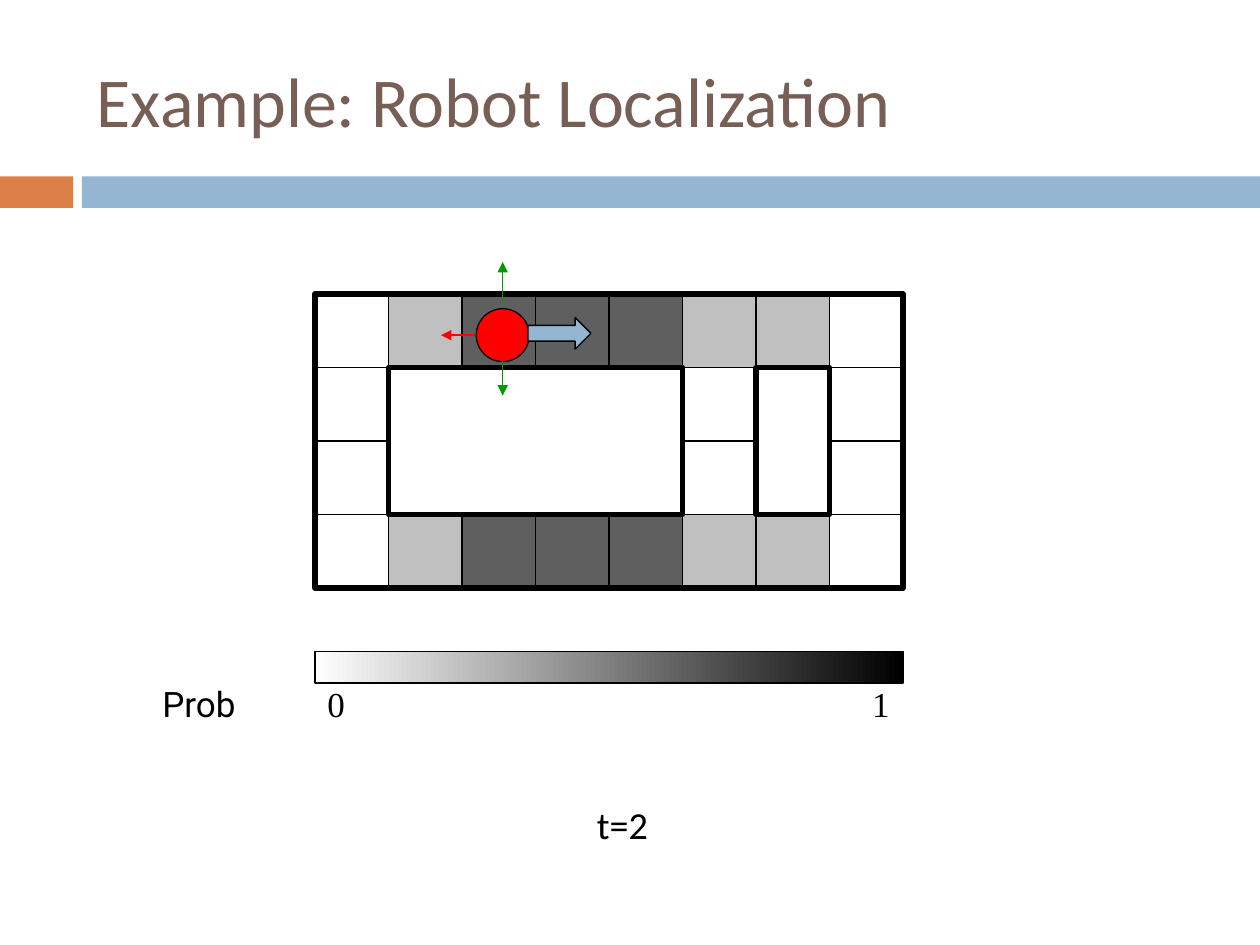
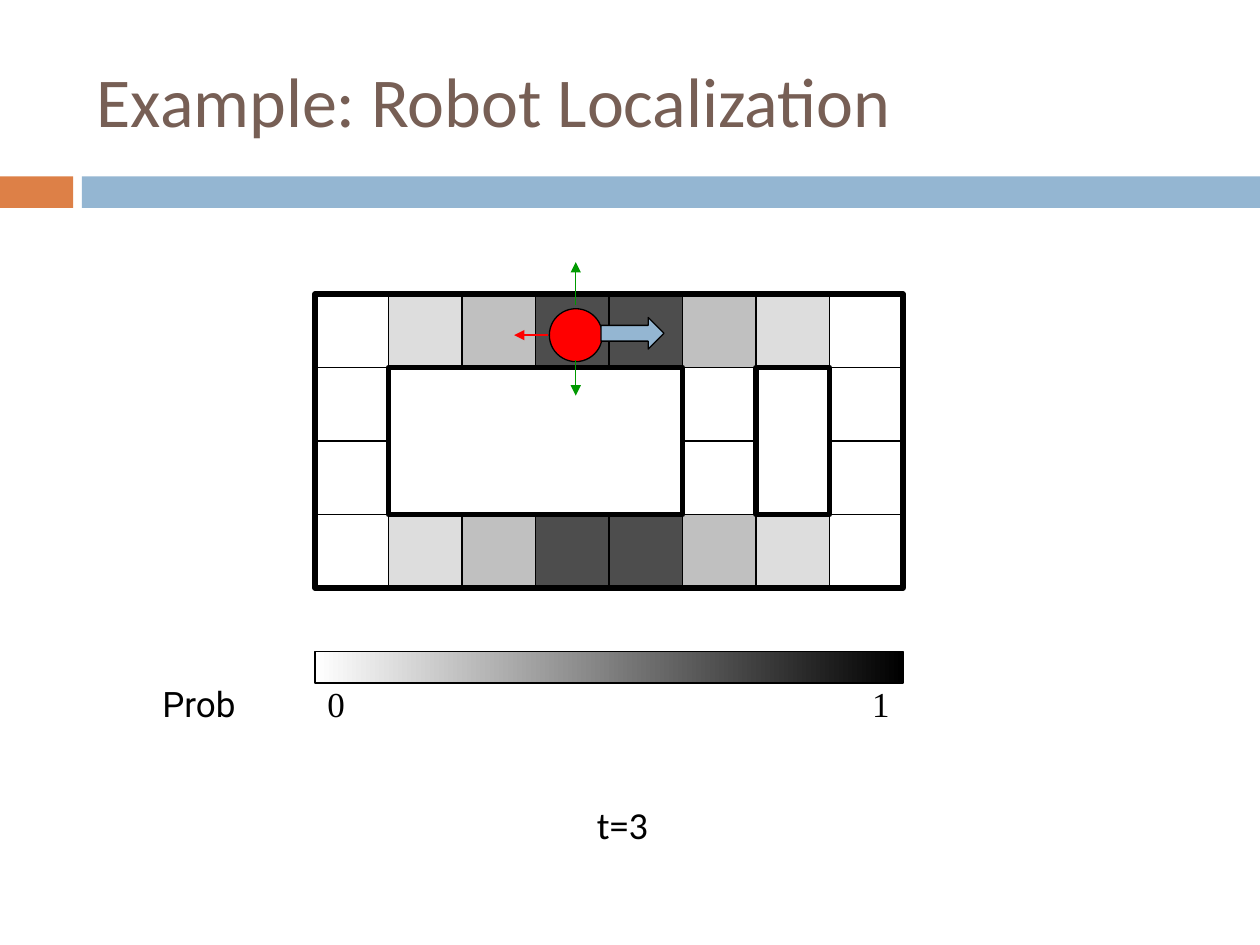
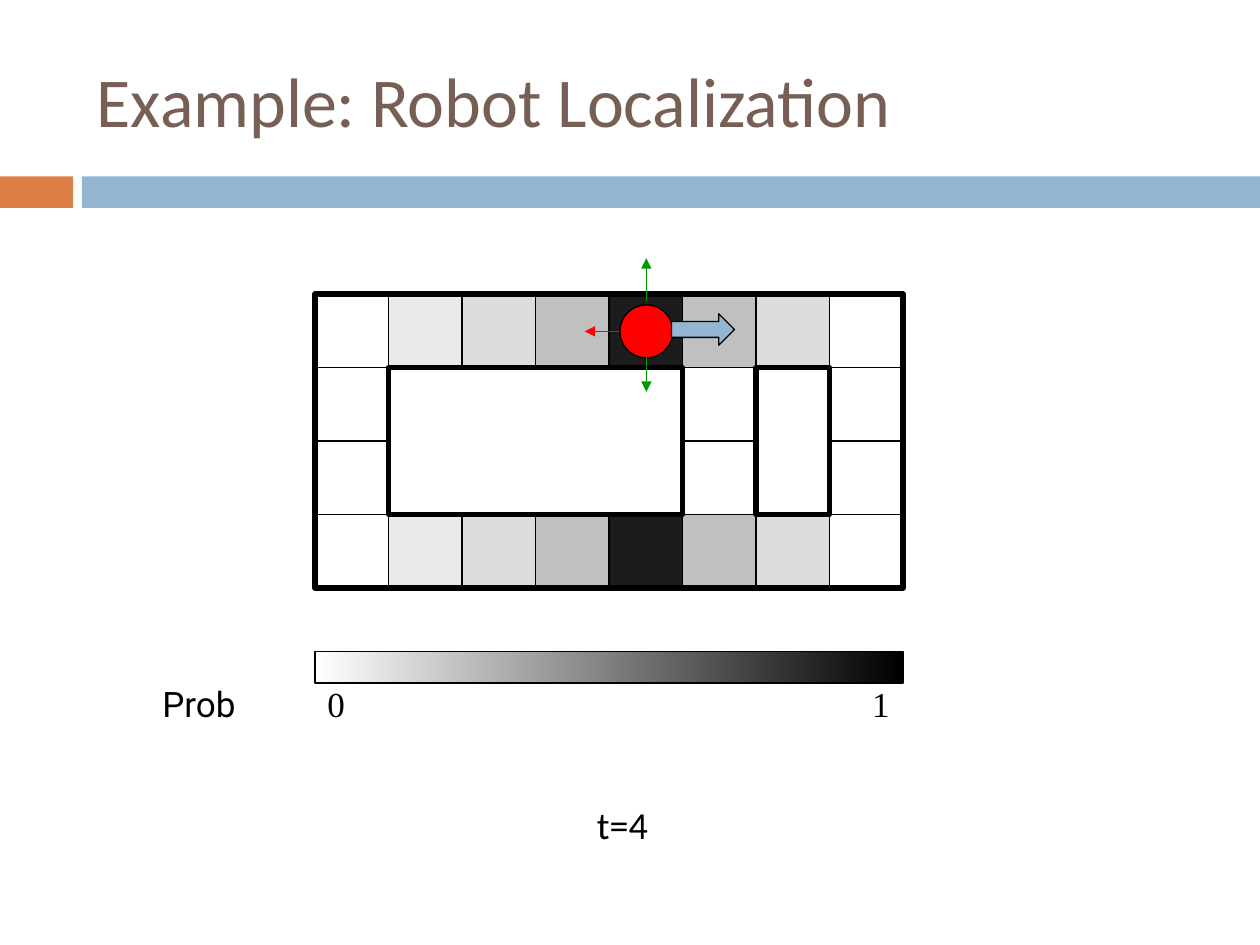
from dataclasses import dataclass
from typing import Optional

from lxml.etree import SubElement
from pptx import Presentation
from pptx.dml.color import RGBColor
from pptx.enum.shapes import MSO_CONNECTOR as Connector, MSO_SHAPE as Preset
from pptx.enum.text import MSO_ANCHOR as Anchor, PP_ALIGN as Align
from pptx.oxml.ns import qn
from pptx.shapes.autoshape import Shape
from pptx.slide import Slide
from pptx.util import Inches, Pt

BLACK = RGBColor(0x00, 0x00, 0x00)
WHITE = RGBColor(0xFF, 0xFF, 0xFF)
BROWN = RGBColor(0x77, 0x5F, 0x55)
ORANGE = RGBColor(0xDD, 0x80, 0x47)
BLUE = RGBColor(0x94, 0xB6, 0xD2)
RED = RGBColor(0xFF, 0x00, 0x00)
GREEN = RGBColor(0x00, 0x99, 0x00)
FAINT = RGBColor(0xEA, 0xEA, 0xEA)
PALE = RGBColor(0xDD, 0xDD, 0xDD)
SILVER = RGBColor(0xC0, 0xC0, 0xC0)
GRAY = RGBColor(0x5F, 0x5F, 0x5F)
DARK = RGBColor(0x4D, 0x4D, 0x4D)
CHARCOAL = RGBColor(0x1C, 0x1C, 0x1C)

THIN = 0.75
THICK = 3
CELL = 7 / 12
COLUMNS = 8
ROWS = 4
MAP_LEFT = 2.5
MAP_TOP = 4 * CELL
MAP_WIDTH = COLUMNS * CELL
CORRIDOR_COLUMNS = (0, 5, 7)
ROBOT_RADIUS = 0.21


@dataclass(frozen=True)
class Box:
    left: float
    top: float
    width: float
    height: float


@dataclass(frozen=True)
class Label:
    text: str
    box: Box
    font: str
    size: float
    color: RGBColor = BLACK
    align: Align = Align.LEFT
    anchor: Anchor = Anchor.MIDDLE
    space_before: float = 0


@dataclass(frozen=True)
class Sensor:
    start_x: float
    start_y: float
    end_x: float
    end_y: float
    color: RGBColor


@dataclass(frozen=True)
class Step:
    time: int
    robot_x: float
    robot_y: float
    shades: tuple[Optional[RGBColor], ...]


SHARED_LABELS = (
    Label("Example: Robot Localization", Box(0.67, 0.25, 8.92, 1.08), "Calibri", 40, BROWN),
    Label("1", Box(4.83, 5.42, 2.33, 0.33), "Times New Roman", 20, align=Align.RIGHT),
    Label("0", Box(2.5, 5.42, 2.33, 0.33), "Times New Roman", 20),
    Label("Prob", Box(0.83, 5.42, 1.5, 0.33), "Roboto", 20, align=Align.CENTER),
)

SENSORS = (
    Sensor(0, -0.24, 0, -0.58, GREEN),
    Sensor(0, 0.2, 0, 0.48, GREEN),
    Sensor(-0.22, 0, -0.49, 0, RED),
)

STEPS = (
    Step(2, 3.99, 2.66, (None, SILVER, GRAY, GRAY, GRAY, SILVER, SILVER, None)),
    Step(3, 4.57, 2.66, (None, PALE, SILVER, DARK, DARK, SILVER, PALE, None)),
    Step(4, 5.13, 2.63, (None, FAINT, PALE, SILVER, CHARCOAL, SILVER, PALE, None)),
)


def add_figure(page: Slide, preset: Preset, box: Box, fill: Optional[RGBColor],
               line_width: float = 0) -> Shape:
    shape = page.shapes.add_shape(preset, Inches(box.left), Inches(box.top),
                                  Inches(box.width), Inches(box.height))
    shape.shadow.inherit = False
    if fill is None:
        shape.fill.background()
    else:
        shape.fill.solid()
        shape.fill.fore_color.rgb = fill
    if line_width:
        shape.line.color.rgb = BLACK
        shape.line.width = Pt(line_width)
    else:
        shape.line.fill.background()
    return shape


def add_label(page: Slide, label: Label) -> None:
    box = label.box
    frame = page.shapes.add_textbox(Inches(box.left), Inches(box.top),
                                    Inches(box.width), Inches(box.height)).text_frame
    frame.word_wrap = True
    frame.vertical_anchor = label.anchor
    frame.text = label.text
    para = frame.paragraphs[0]
    para.alignment = label.align
    para.space_before = Pt(label.space_before)
    font = para.runs[0].font
    font.name = label.font
    font.size = Pt(label.size)
    font.color.rgb = label.color


def add_sensor(page: Slide, step: Step, sensor: Sensor) -> None:
    arrow = page.shapes.add_connector(
        Connector.STRAIGHT,
        Inches(step.robot_x + sensor.start_x), Inches(step.robot_y + sensor.start_y),
        Inches(step.robot_x + sensor.end_x), Inches(step.robot_y + sensor.end_y))
    arrow.line.color.rgb = sensor.color
    arrow.line.width = Pt(THIN)
    SubElement(arrow.line._get_or_add_ln(), qn("a:tailEnd"), type="triangle")
    SubElement(arrow._element.spPr, qn("a:effectLst"))


def map_box(column: int, row: int, columns: int = 1, rows: int = 1) -> Box:
    return Box(MAP_LEFT + column * CELL, MAP_TOP + row * CELL, columns * CELL, rows * CELL)


def add_map(page: Slide, shades: tuple[Optional[RGBColor], ...]) -> None:
    for row in range(ROWS):
        is_hallway = row in (0, ROWS - 1)
        for column in range(COLUMNS) if is_hallway else CORRIDOR_COLUMNS:
            shade = shades[column] if is_hallway else None
            add_figure(page, Preset.RECTANGLE, map_box(column, row), shade, THIN)
    add_figure(page, Preset.RECTANGLE, map_box(1, 1, 4, 2), WHITE, THICK)
    add_figure(page, Preset.RECTANGLE, map_box(0, 0, COLUMNS, ROWS), None, THICK)
    add_figure(page, Preset.RECTANGLE, map_box(6, 1, 1, 2), None, THICK)


def add_probability_scale(page: Slide) -> None:
    scale = add_figure(page, Preset.RECTANGLE, Box(MAP_LEFT, 5.17, MAP_WIDTH, 0.25), WHITE, THIN)
    scale.fill.gradient()
    scale.fill.gradient_angle = 0
    for stop, position, color in zip(scale.fill.gradient_stops, (0, 1), (WHITE, BLACK)):
        stop.position = position
        stop.color.rgb = color


def add_robot(page: Slide, step: Step) -> None:
    body = Box(step.robot_x - ROBOT_RADIUS, step.robot_y - ROBOT_RADIUS,
               2 * ROBOT_RADIUS, 2 * ROBOT_RADIUS)
    add_figure(page, Preset.OVAL, body, RED, THIN)
    for sensor in SENSORS:
        add_sensor(page, step, sensor)
    heading = Box(step.robot_x + 0.2, step.robot_y - 0.14, 0.5, 0.25)
    add_figure(page, Preset.RIGHT_ARROW, heading, BLUE, THIN)


def add_step(page: Slide, step: Step) -> None:
    add_figure(page, Preset.RECTANGLE, Box(0, 1.4, 0.58, 0.25), ORANGE)
    add_figure(page, Preset.RECTANGLE, Box(0.65, 1.4, 9.35, 0.25), BLUE)
    add_map(page, step.shades)
    add_probability_scale(page)
    for label in SHARED_LABELS:
        add_label(page, label)
    add_label(page, Label(f"t={step.time}", Box(0.69, 6.31, 8.5, 1), "Calibri", 21.8,
                          align=Align.CENTER, anchor=Anchor.TOP, space_before=5.2))
    add_robot(page, step)


def main() -> None:
    deck = Presentation()
    deck.slide_width = Inches(10)
    deck.slide_height = Inches(7.5)
    blank = deck.slide_layouts[6]
    for step in STEPS:
        add_step(deck.slides.add_slide(blank), step)
    deck.save("out.pptx")


if __name__ == "__main__":
    main()
